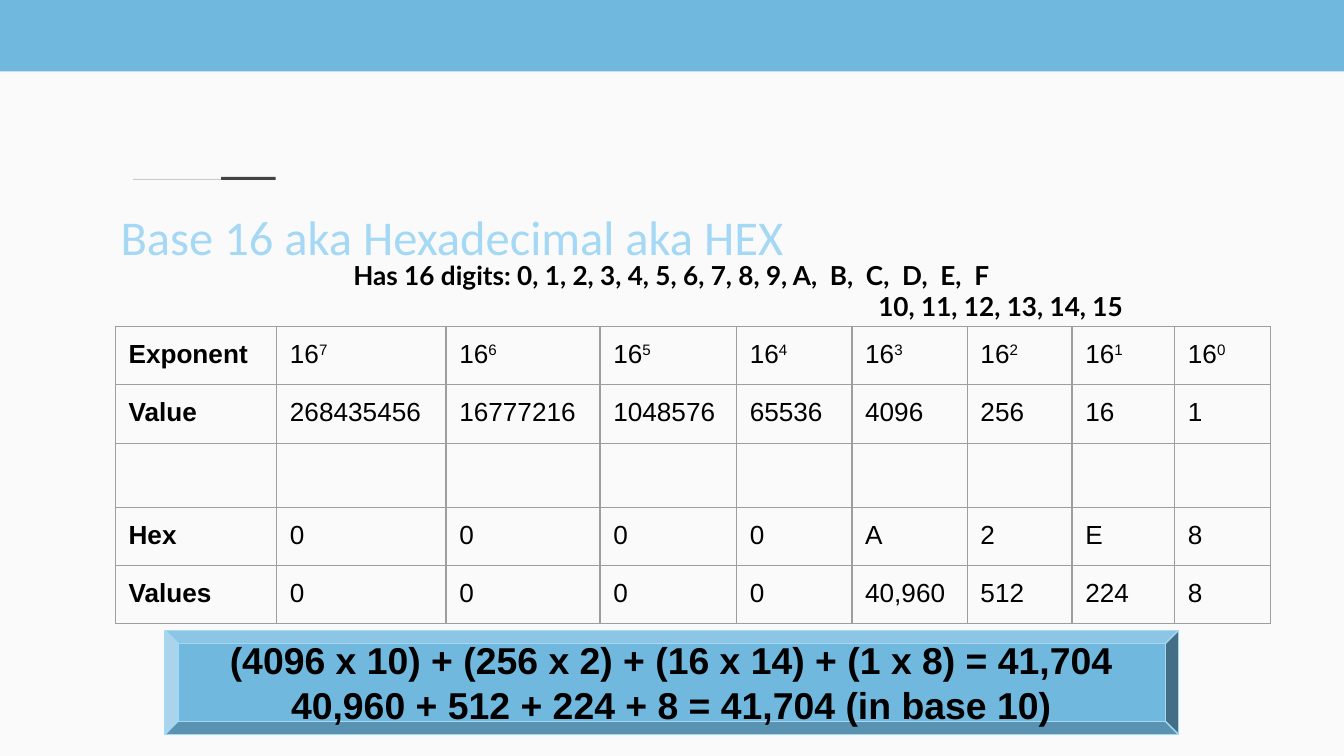
from lxml import etree
from pptx import Presentation
from pptx import util as u
from pptx.dml.color import RGBColor
from pptx.enum import shapes, text
from pptx.oxml.ns import qn

COLORS = {
    "background": "FAFAFA", "blue": "71B8DF", "light_blue": "A4D8F4",
    "dark": "434343", "rule": "CCCCCC", "border": "9E9E9E", "black": "000000",
}
rgb = {name: RGBColor.from_string(value) for name, value in COLORS.items()}
INSET = u.Cm(0.25)


def set_insets(tf):
    tf.margin_left = tf.margin_right = tf.margin_top = tf.margin_bottom = INSET
    tf.word_wrap = True


def set_font(p, name, size, color, bold=False):
    p.font.name = name
    p.font.size = u.Pt(size)
    p.font.bold = bold
    p.font.color.rgb = rgb[color]


prs = Presentation()
prs.slide_width, prs.slide_height = u.Cm(25.4), u.Cm(14.28)
s = prs.slides.add_slide(prs.slide_layouts[5])
s.background.fill.solid()
s.background.fill.fore_color.rgb = rgb["background"]

# Top band and the two-part rule above the title
for left, top, width, height, color in [
    (0, 0, 25.4, 1.35, "blue"),
    (2.51, 3.38, 1.67, 0.02, "rule"),
    (4.18, 3.34, 1.03, 0.06, "dark"),
]:
    sp = s.shapes.add_shape(shapes.MSO_SHAPE.RECTANGLE, u.Cm(left), u.Cm(top),
                            u.Cm(width), u.Cm(height))
    sp.shadow.inherit = False
    sp.fill.solid()
    sp.fill.fore_color.rgb = rgb[color]
    sp.line.fill.background()

# Title
title = s.shapes.title
title.left, title.top = u.Cm(2.03), u.Cm(3.66)
title.width, title.height = u.Cm(21.36), u.Cm(1.5)
tf = title.text_frame
set_insets(tf)
tf.auto_size = text.MSO_AUTO_SIZE.NONE
tf.vertical_anchor = text.MSO_ANCHOR.TOP
tf.text = "Base 16 aka Hexadecimal aka HEX"
tf.paragraphs[0].alignment = text.PP_ALIGN.LEFT
set_font(tf.paragraphs[0], "Calibri", 26, "light_blue")

# Place-value table: the first row holds powers of 16
rows = [
    ["Exponent"] + ["16"] * 8,
    ["Value"] + [str(16 ** n) for n in range(7, -1, -1)],
    [""] * 9,
    ["Hex", "0", "0", "0", "0", "A", "2", "E", "8"],
    ["Values", "0", "0", "0", "0", "40,960", "512", "224", "8"],
]
col_widths = [3.05, 3.2, 2.91, 2.58, 2.18, 2.18, 1.98, 1.94, 1.81]
row_heights = [1.1, 1.1, 1.21, 1.1, 1.1]
table = s.shapes.add_table(len(rows), len(col_widths), u.Cm(2.18), u.Cm(6.17),
                           u.Cm(sum(col_widths)), u.Cm(sum(row_heights))).table
table.first_row = table.horz_banding = False
for col, width in zip(table.columns, col_widths):
    col.width = u.Cm(width)
for row, height in zip(table.rows, row_heights):
    row.height = u.Cm(height)

for i, values in enumerate(rows):
    for j, value in enumerate(values):
        cell = table.cell(i, j)
        cell.margin_left = cell.margin_right = INSET
        cell.margin_top = cell.margin_bottom = INSET
        p = cell.text_frame.paragraphs[0]
        set_font(p, "Arial", 14, "black", bold=j == 0)
        if value:
            p.add_run().text = value
        if i == 0 and j > 0:
            r = p.add_run()
            r.text = str(8 - j)
            r.font._element.set("baseline", "30000")
        tcPr = cell._tc.get_or_add_tcPr()
        for side in ("lnL", "lnR", "lnT", "lnB"):
            ln = etree.SubElement(tcPr, qn(f"a:{side}"), w=str(u.Pt(0.75)))
            fill = etree.SubElement(ln, qn("a:solidFill"))
            etree.SubElement(fill, qn("a:srgbClr"), val=COLORS["border"])
        cell.fill.background()

# Hex digits, with the decimal values of A to F indented below
sp = s.shapes.add_textbox(u.Cm(3.12), u.Cm(4.65), u.Cm(19.15), u.Cm(1.7))
tf = sp.text_frame
set_insets(tf)
tf.text = ("Has 16 digits: 0, 1, 2, 3, 4, 5, 6, 7, 8, 9, A,  B,  C,  D,  E,  F\n"
           "10, 11, 12, 13, 14, 15")
digits, decimals = tf.paragraphs
digits.alignment = text.PP_ALIGN.CENTER
decimals.alignment = text.PP_ALIGN.LEFT
decimals._p.get_or_add_pPr().set("marL", str(u.Cm(13.23)))
for p in tf.paragraphs:
    set_font(p, "Lato", 14, "black", bold=True)

# Worked sum
sp = s.shapes.add_shape(shapes.MSO_SHAPE.BEVEL, u.Cm(3.12), u.Cm(11.91),
                        u.Cm(19.15), u.Cm(1.96))
sp.shadow.inherit = False
sp.adjustments[0] = 0.125
sp.fill.solid()
sp.fill.fore_color.rgb = rgb["blue"]
sp.line.color.rgb = rgb["light_blue"]
sp.line.width = u.Pt(0.75)
tf = sp.text_frame
set_insets(tf)
tf.vertical_anchor = text.MSO_ANCHOR.MIDDLE
tf.text = ("(4096 x 10) + (256 x 2) + (16 x 14) + (1 x 8) = 41,704\n"
           "40,960 + 512 + 224 + 8 = 41,704 (in base 10)")
for p in tf.paragraphs:
    p.alignment = text.PP_ALIGN.CENTER
    set_font(p, "Arial", 20, "black", bold=True)

prs.save("out.pptx")
